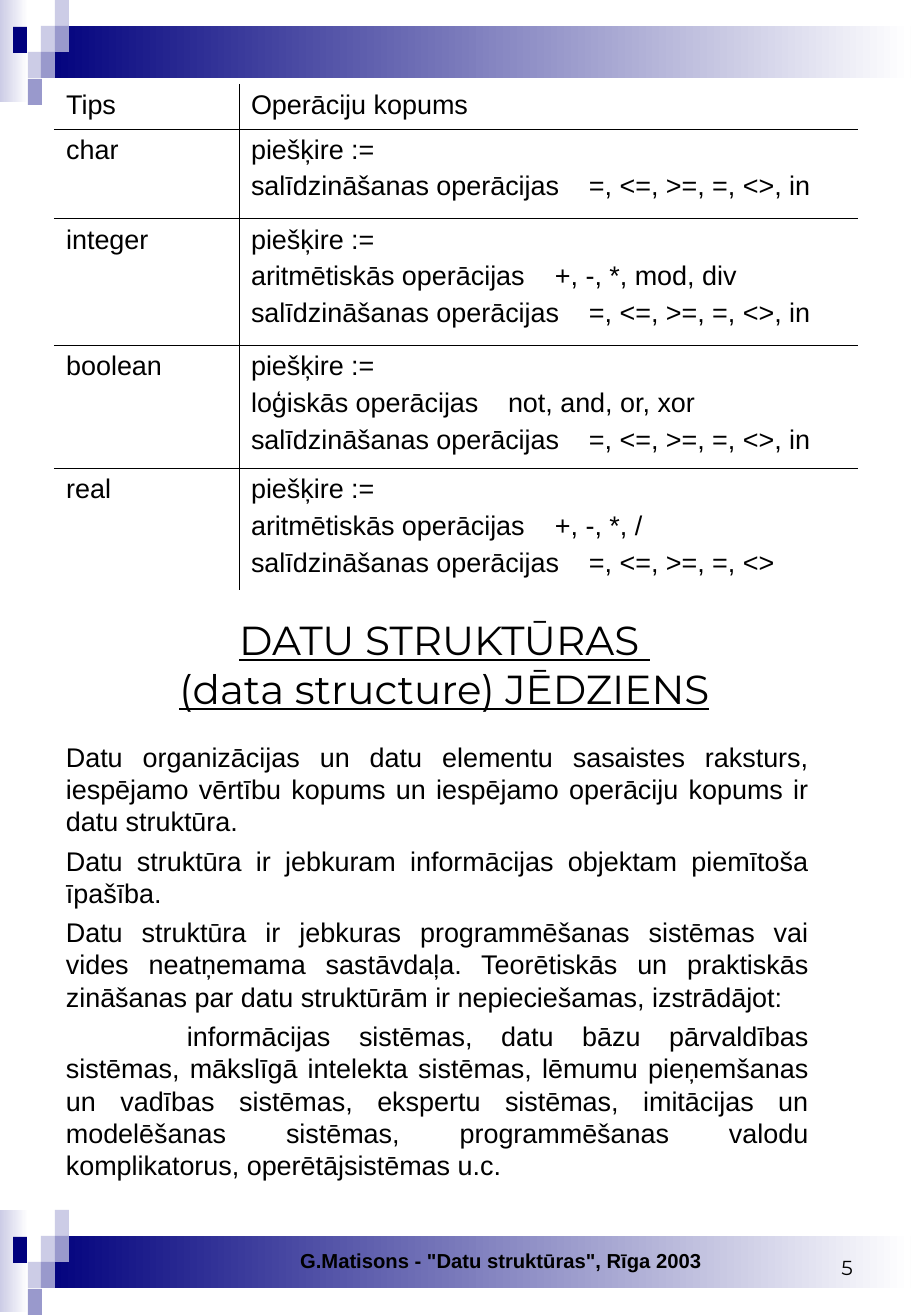
from lxml import etree
from pptx import Presentation
from pptx.dml.color import RGBColor
from pptx.enum import shapes, text
from pptx.oxml import ns
from pptx.util import Inches, Pt

PX = 914400 / 121.5
NAVY = RGBColor(0x00, 0x00, 0x7D)
PALE = RGBColor(0xCC, 0xCC, 0xE6)
MID = RGBColor(0x99, 0x99, 0xCC)
WHITE = RGBColor(0xFF, 0xFF, 0xFF)
BLACK = RGBColor(0, 0, 0)

# Content: each operation is (name, symbols, tab stop in px)
ASSIGN = ("piešķire :=",)
COMPARE = "salīdzināšanas operācijas"
ARITH = "aritmētiskās operācijas"
ORDER = (COMPARE, "=, <=, >=, =, <>, in", 338)
ROWS = [
    ("Tips", [("Operāciju kopums",)], 45),
    ("char", [ASSIGN, ORDER], 90),
    ("integer", [ASSIGN, (ARITH, "+, -, *, mod, div", 304), ORDER], 127),
    ("boolean", [ASSIGN, ("loģiskās operācijas", "not, and, or, xor", 257), ORDER], 123),
    ("real", [ASSIGN, (ARITH, "+, -, *, /", 304), (COMPARE, "=, <=, >=, =, <>", 338)], 122),
]
COLS = (185, 619)
TITLE = "DATU STRUKTŪRAS \v(data structure) JĒDZIENS"
BODY = [
    "Datu organizācijas un datu elementu sasaistes raksturs, iespējamo vērtību kopums "
    "un iespējamo operāciju kopums ir datu struktūra.",
    "Datu struktūra ir jebkuram informācijas objektam piemītoša īpašība.",
    "Datu struktūra ir jebkuras programmēšanas sistēmas vai vides neatņemama sastāvdaļa. "
    "Teorētiskās un praktiskās zināšanas par datu struktūrām ir nepieciešamas, izstrādājot:",
    "informācijas sistēmas, datu bāzu pārvaldības sistēmas, mākslīgā intelekta sistēmas, "
    "lēmumu pieņemšanas un vadības sistēmas, ekspertu sistēmas, imitācijas un modelēšanas "
    "sistēmas, programmēšanas valodu komplikatorus, operētājsistēmas u.c.",
]
FOOTER = 'G.Matisons - "Datu struktūras", Rīga 2003'
PAGE = "5"

# Banner parts: left, top, width, height, colour; bands fade to white
BANDS = [(0, 0, 28, 102, PALE), (41, 26, 870, 52, NAVY)]
TILES = [(41, 26, PALE), (55, 0, PALE), (55, 26, MID), (28, 52, PALE),
         (13, 27, NAVY), (41, 52, MID), (28, 79, MID)]
TILE = (14, 26)
BANNERS = (0, 1211)


def px(*vals):
    return [round(v * PX) for v in vals]


def write(frame, lines, size=16, font="Arial", align=text.PP_ALIGN.LEFT, gap=4,
          bold=False, under=False, stops=()):
    frame.word_wrap = True
    for i, line in enumerate(lines):
        para = frame.paragraphs[0] if i == 0 else frame.add_paragraph()
        para.text = line
        para.alignment = align
        if i:
            para.space_before = Pt(gap)
        if i < len(stops) and stops[i]:
            tabs = etree.SubElement(para._p.get_or_add_pPr(), ns.qn("a:tabLst"))
            etree.SubElement(tabs, ns.qn("a:tab"), pos=str(px(stops[i])[0]), algn="l")
        look = para.font
        look.size, look.name = Pt(size), font
        look.bold, look.underline = bold, under
        look.color.rgb = BLACK


def add_text(slide, box, lines, anchor=text.MSO_ANCHOR.TOP, **form):
    frame = slide.shapes.add_textbox(*px(*box)).text_frame
    frame.vertical_anchor = anchor
    write(frame, lines, **form)
    return frame


def add_rect(slide, box, color, fade=False):
    rect = slide.shapes.add_shape(shapes.MSO_SHAPE.RECTANGLE, *px(*box))
    rect.shadow.inherit = False
    rect.line.fill.background()
    if fade:
        rect.fill.gradient()
        rect.fill.gradient_angle = 0
        for stop, tone in zip(rect.fill.gradient_stops, (color, WHITE)):
            stop.color.rgb = tone
    else:
        rect.fill.solid()
        rect.fill.fore_color.rgb = color


def rule(cell, sides):
    """Draw thin black rules on the sides set to True, none on the others."""
    props = cell._tc.get_or_add_tcPr()
    for at, (side, shown) in enumerate(sides.items()):
        line = etree.Element(ns.qn("a:ln" + side), w=str(Pt(0.45)))
        if shown:
            fill = etree.SubElement(line, ns.qn("a:solidFill"))
            etree.SubElement(fill, ns.qn("a:srgbClr"), val=str(BLACK))
        else:
            etree.SubElement(line, ns.qn("a:noFill"))
        props.insert(at, line)


def add_grid(slide):
    high = [row[2] for row in ROWS]
    box = px(54, 84, sum(COLS), sum(high))
    grid = slide.shapes.add_table(len(ROWS), len(COLS), *box).table
    grid.first_row = grid.horz_banding = False
    for col, wide in zip(grid.columns, COLS):
        col.width = px(wide)[0]
    for r, (kind, ops, tall) in enumerate(ROWS):
        grid.rows[r].height = px(tall)[0]
        for c, items in enumerate(([(kind,)], ops)):
            cell = grid.cell(r, c)
            cell.fill.background()
            write(cell.text_frame, ["\t".join(op[:2]) for op in items],
                  stops=[op[2] if len(op) > 2 else None for op in items])
            rule(cell, {"L": c > 0, "R": c < len(COLS) - 1,
                        "T": r > 0, "B": r < len(ROWS) - 1})


def main():
    deck = Presentation()
    deck.slide_width, deck.slide_height = Inches(7.5), Inches(10.84)
    slide = deck.slides.add_slide(deck.slide_layouts[6])

    # Banners at top and bottom
    for top in BANNERS:
        for x, y, w, h, color in BANDS:
            add_rect(slide, (x, top + y, w, h), color, fade=True)
        for x, y, color in TILES:
            add_rect(slide, (x, top + y, *TILE), color)

    # Table of types, title and body
    add_grid(slide)
    add_text(slide, (34, 610, 821, 134), [TITLE], size=24, font="Montserrat",
             align=text.PP_ALIGN.CENTER, under=True)
    body = add_text(slide, (54, 735, 767, 479), BODY, align=text.PP_ALIGN.JUSTIFY)
    body.paragraphs[-1]._p.get_or_add_pPr().set("indent", str(px(121)[0]))

    # Footer and page number
    low = {"anchor": text.MSO_ANCHOR.BOTTOM, "size": 12, "align": text.PP_ALIGN.RIGHT}
    add_text(slide, (111, 1242, 603, 38), [FOOTER], bold=True, **low)
    add_text(slide, (723, 1242, 142, 45), [PAGE], font="Montserrat", **low)

    deck.save("out.pptx")


if __name__ == "__main__":
    main()
